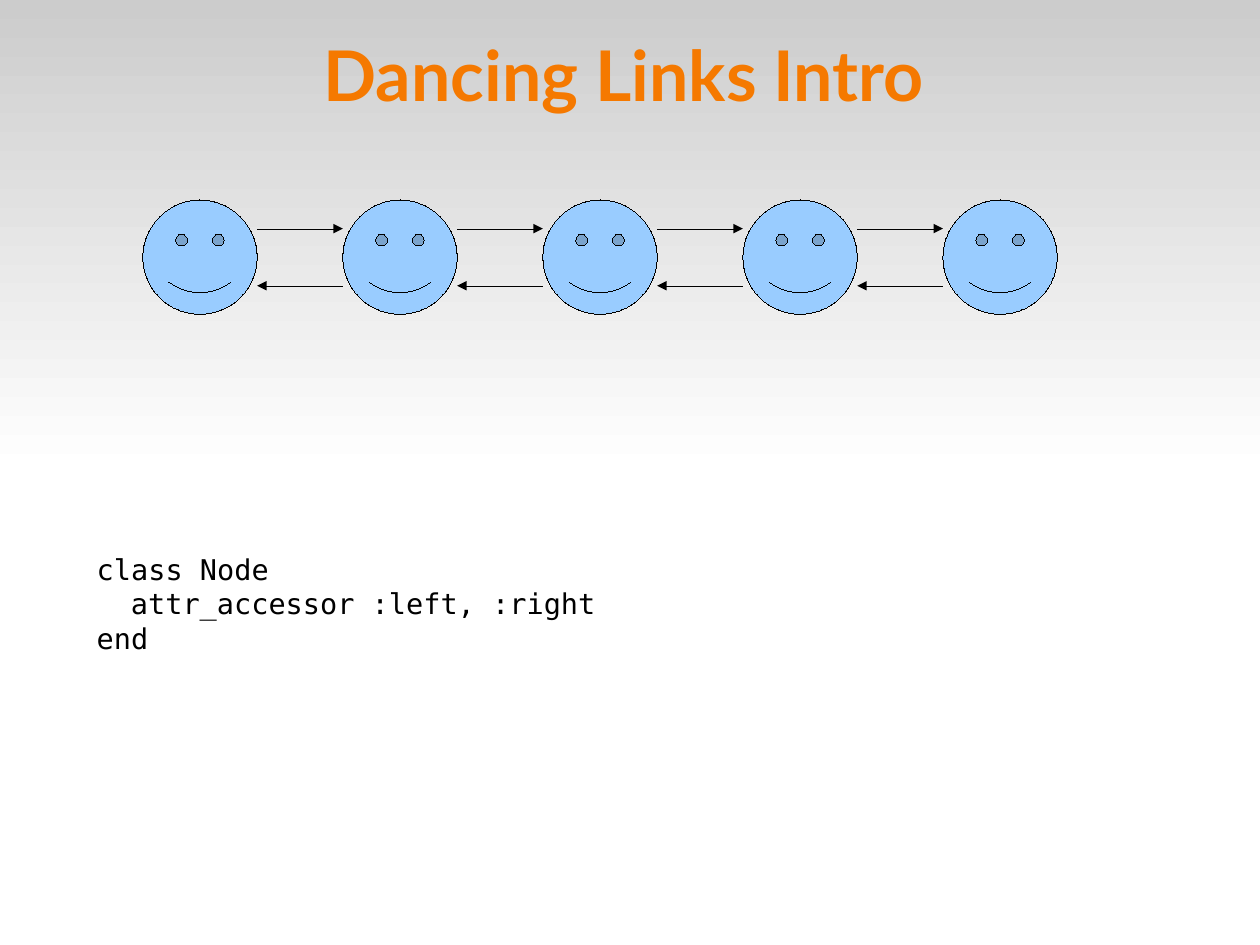
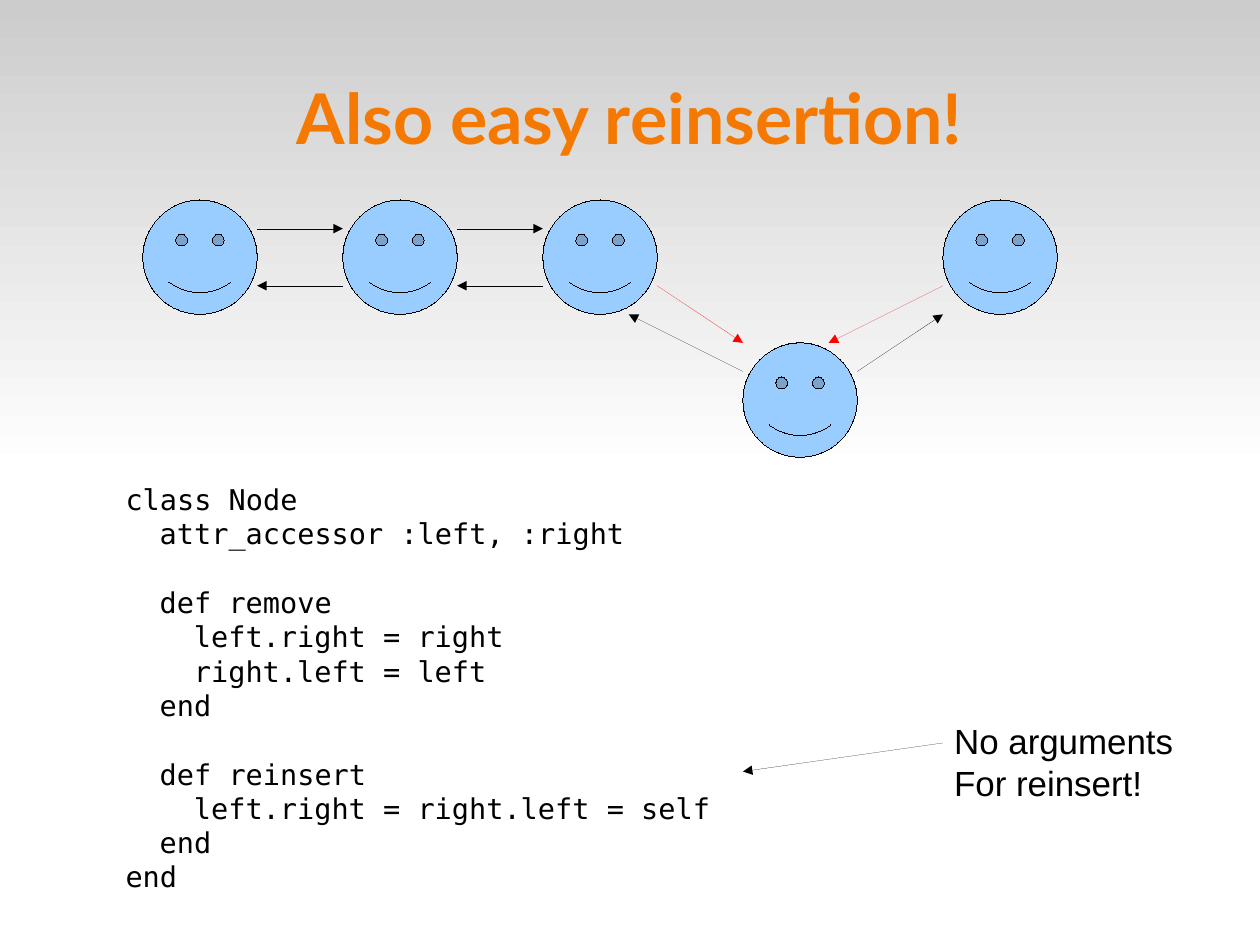
from lxml import etree
from pptx import Presentation
from pptx.dml.color import RGBColor
from pptx.enum.shapes import MSO_CONNECTOR, MSO_SHAPE
from pptx.enum.text import MSO_ANCHOR, MSO_AUTO_SIZE, PP_ALIGN
from pptx.oxml.ns import qn
from pptx.util import Cm, Pt

STRAIGHT = MSO_CONNECTOR.STRAIGHT
RECTANGLE, SMILEY = MSO_SHAPE.RECTANGLE, MSO_SHAPE.SMILEY_FACE
MIDDLE, TOP = MSO_ANCHOR.MIDDLE, MSO_ANCHOR.TOP
CENTER, LEFT = PP_ALIGN.CENTER, PP_ALIGN.LEFT
FIT_SHAPE, NO_FIT = MSO_AUTO_SIZE.SHAPE_TO_FIT_TEXT, MSO_AUTO_SIZE.NONE

BLACK = RGBColor(0x00, 0x00, 0x00)
WHITE = RGBColor(0xFF, 0xFF, 0xFF)
GREY = RGBColor(0xCC, 0xCC, 0xCC)
ORANGE = RGBColor(0xF5, 0x79, 0x00)
NODE_BLUE = RGBColor(0x99, 0xCC, 0xFF)
RED = RGBColor(0xFF, 0x00, 0x00)

TITLE_FONT, CODE_FONT, NOTE_FONT = "Lato", "DejaVu Sans Mono", "Arial"
SLIDE_WIDTH, SLIDE_HEIGHT = Cm(28), Cm(21)
CODE_INDENT = Cm(0.76)
CODE_LINE = Pt(21.6)

# Nodes and links sit on a grid of quarter nodes.
NODE = Cm(2.54)
QUARTER = NODE // 4
NODE_STEP = 7
CHAIN_LEFT, CHAIN_TOP = QUARTER * 5, QUARTER * 7

NODE_CODE = ["class Node", "  attr_accessor :left, :right", "end"]
REINSERT_CODE = [
    "class Node",
    "  attr_accessor :left, :right",
    "",
    "  def remove",
    "    left.right = right",
    "    right.left = left",
    "  end",
    "",
    "  def reinsert",
    "    left.right = right.left = self",
    "  end",
    "end",
]


def style_font(paragraph, name, size, color, bold=False):
    font = paragraph.font
    font.name, font.size, font.bold = name, Pt(size), bold
    font.color.rgb = color


def set_hairline(shape, color):
    """Colour the line, write its zero width explicitly and return its element."""
    shape.line.color.rgb = color
    outline = shape.element.find(qn("p:spPr")).find(qn("a:ln"))
    outline.set("w", "0")
    return outline


def add_master_band(prs, slide):
    """Draw the gradient band and move it to the master, behind everything."""
    band = slide.shapes.add_shape(RECTANGLE, 0, 0, SLIDE_WIDTH, SLIDE_HEIGHT // 2)
    band.shadow.inherit = False
    band.line.fill.background()
    band.fill.gradient()
    band.fill.gradient_angle = 270
    for stop, position, color in zip(band.fill.gradient_stops, (0, 1), (GREY, WHITE)):
        stop.position, stop.color.rgb = position, color
    prs.slide_master.shapes.element.insert(2, band.element)


def add_titled_slide(prs, text, left, top, width, height):
    slide = prs.slides.add_slide(prs.slide_layouts[5])
    title = slide.shapes.title
    title.left, title.top, title.width, title.height = left, top, width, height
    frame = title.text_frame
    frame.text = text
    frame.auto_size, frame.vertical_anchor = NO_FIT, MIDDLE
    frame.margin_left = frame.margin_right = 0
    frame.margin_top = frame.margin_bottom = 0
    frame.paragraphs[0].alignment = CENTER
    style_font(frame.paragraphs[0], TITLE_FONT, 44, ORANGE, bold=True)
    return slide


def add_arrow(slide, start, end, color=BLACK):
    arrow = slide.shapes.add_connector(STRAIGHT, *start, *end)
    outline = set_hairline(arrow, color)
    etree.SubElement(outline, qn("a:tailEnd")).set("type", "triangle")
    etree.SubElement(arrow.element.find(qn("p:spPr")), qn("a:effectLst"))


def add_chain(slide, left, top, linked, dropped=()):
    """Draw five nodes, with the first `linked` joined and some set lower."""

    def point(index, across, down):
        """Return a place in quarter nodes from the corner of a row position."""
        return left + (index * NODE_STEP + across) * QUARTER, top + down * QUARTER

    for index in range(5):
        x, y = point(index, 0, 5 if index in dropped else 0)
        node = slide.shapes.add_shape(SMILEY, x, y, NODE, NODE)
        node.shadow.inherit = False
        node.fill.solid()
        node.fill.fore_color.rgb = NODE_BLUE
        set_hairline(node, BLACK)
    for index in range(linked - 1):
        add_arrow(slide, point(index, 4, 1), point(index + 1, 0, 1))
        add_arrow(slide, point(index + 1, 0, 3), point(index, 4, 3))
    for index in dropped:
        before, after = index - 1, index + 1
        add_arrow(slide, point(before, 4, 3), point(index, 0, 5), RED)
        add_arrow(slide, point(index, 0, 6), point(before, 3, 4))
        add_arrow(slide, point(index, 4, 6), point(after, 0, 4))
        add_arrow(slide, point(after, 0, 3), point(index, 3, 5), RED)


def add_text(slide, lines, left, top, width, height, font, size):
    """Write lines; leading spaces set the indent, an empty line sets a gap."""
    frame = slide.shapes.add_textbox(left, top, width, height).text_frame
    frame.word_wrap, frame.auto_size = True, FIT_SHAPE
    frame.vertical_anchor = TOP
    paragraph, gap = frame.paragraphs[0], False
    for number, line in enumerate(lines):
        if not line:
            gap = True
            continue
        if number:
            paragraph = frame.add_paragraph()
        paragraph.text = line.lstrip()
        paragraph.alignment = LEFT
        style_font(paragraph, font, size, BLACK)
        level = (len(line) - len(paragraph.text)) // 2
        if level:
            indent = paragraph._p.get_or_add_pPr()
            indent.set("marL", str(level * CODE_INDENT))
            indent.set("indent", "0")
        if gap:
            paragraph.space_before = CODE_LINE
            gap = False


def build_intro(prs):
    slide = add_titled_slide(prs, "Dancing Links Intro", Cm(1.27), 0, Cm(25.2), Cm(3.25))
    add_master_band(prs, slide)
    add_chain(slide, CHAIN_LEFT, CHAIN_TOP, linked=5)
    add_text(slide, NODE_CODE, Cm(1.9), Cm(12.14), Cm(12), Cm(2.46), CODE_FONT, 18)


def build_reinsertion(prs):
    slide = add_titled_slide(
        prs, "Also easy reinsertion!", Cm(1.4), Cm(0.84), Cm(25.2), Cm(3.5))
    add_chain(slide, CHAIN_LEFT, CHAIN_TOP, linked=3, dropped=(3,))
    add_text(slide, REINSERT_CODE, Cm(2.54), Cm(10.59), Cm(14), Cm(9.09), CODE_FONT, 18)
    note_left, note_top = QUARTER * 33, QUARTER * 25
    add_arrow(slide, (note_left, note_top + QUARTER),
              (note_left - NODE_STEP * QUARTER, note_top + 2 * QUARTER))
    add_text(slide, ["No arguments", "For reinsert!"], note_left, note_top,
             Cm(5.8), Cm(1.98), NOTE_FONT, 22)


def main():
    prs = Presentation()
    prs.slide_width, prs.slide_height = SLIDE_WIDTH, SLIDE_HEIGHT
    build_intro(prs)
    build_reinsertion(prs)
    prs.save("out.pptx")


if __name__ == "__main__":
    main()
